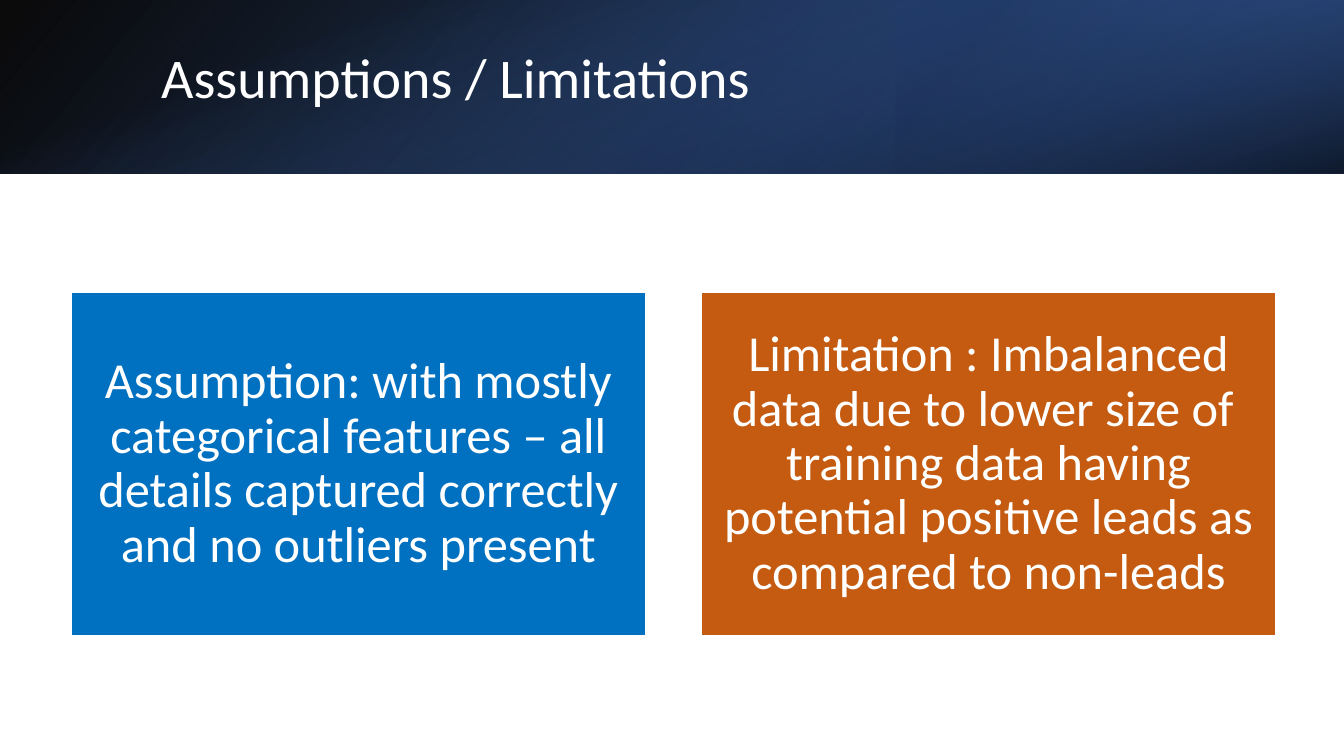
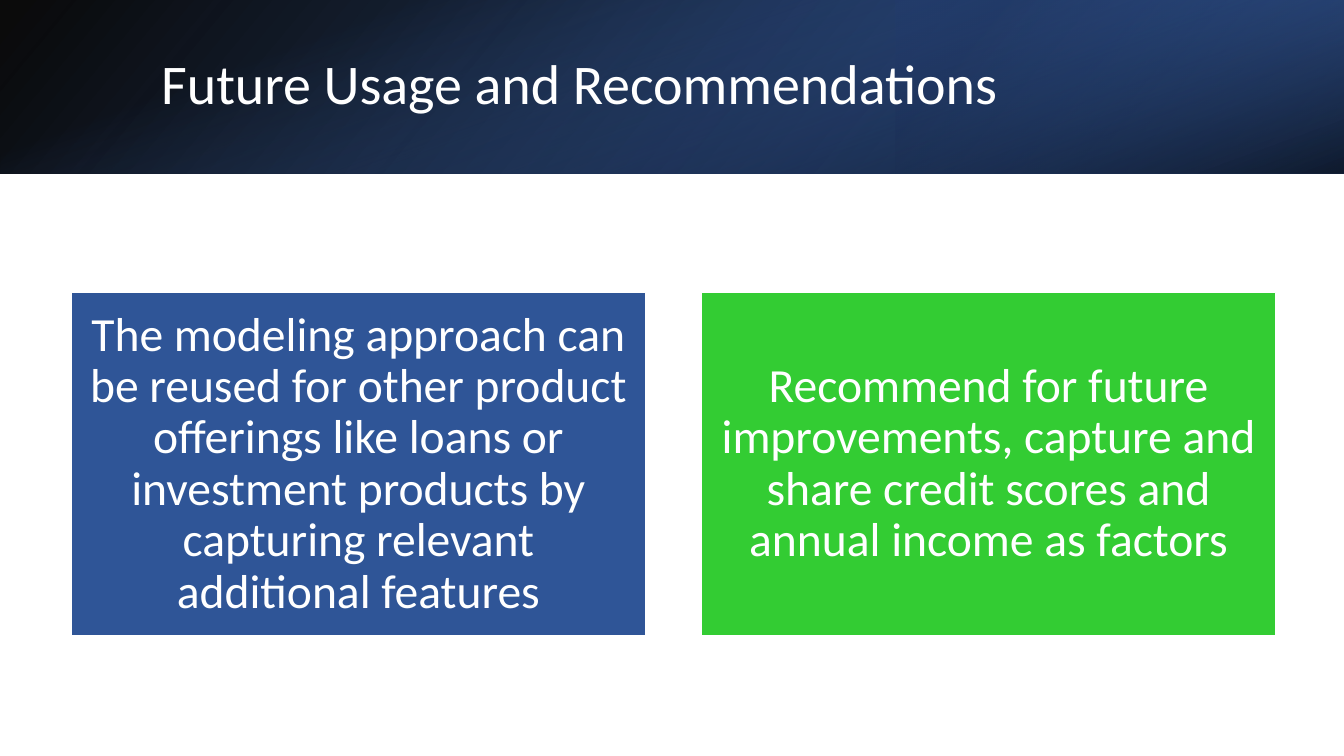
import pptx
import pptx.util
import pptx.dml.color
import pptx.enum.shapes
import pptx.enum.text
from lxml import etree

Inches, Pt = pptx.util.Inches, pptx.util.Pt
RGBColor = pptx.dml.color.RGBColor
RECT = pptx.enum.shapes.MSO_SHAPE.RECTANGLE
MIDDLE = pptx.enum.text.MSO_ANCHOR.MIDDLE
ALIGN = pptx.enum.text.PP_ALIGN

# Shared style
FONT = "Calibri"
WHITE = RGBColor(0xFF, 0xFF, 0xFF)
BLACK = RGBColor(0x00, 0x00, 0x00)
NAVY = RGBColor(0x20, 0x38, 0x64)
DARK_BLUE = RGBColor(0x2F, 0x55, 0x97)
MID_BLUE = RGBColor(0x44, 0x72, 0xC4)
BLUE = RGBColor(0x00, 0x70, 0xC0)
ORANGE = RGBColor(0xC5, 0x5A, 0x11)
GREEN = RGBColor(0x33, 0xCC, 0x33)

W, BAND_H = 13.33, 1.72
BOX_LEFT, BOX_TOP, BOX_W, BOX_H, BOX_STEP = 0.71, 2.9, 5.69, 3.41, 6.25

# Header band layers: left, top, width, height, rotation, flipped, angle,
# then stops of position, colour and opacity in percent
BAND = [
    (0, 0, W, BAND_H, 0, True, 140, [(0, BLACK, 96), (100, DARK_BLUE, 100)]),
    (W * 2 / 3, 0, W / 3, BAND_H, 180, True, 320, [(19, NAVY, 68), (100, MID_BLUE, 79)]),
    ((W - BAND_H) / 2, (BAND_H - W) / 2, BAND_H, W, 90, False, 340,
     [(23, MID_BLUE, 0), (99, BLACK, 74)]),
]

# Slides: title, title top, text size, box inset, boxes
SLIDES = [
    ("Assumptions / Limitations", 0.32, 36, 0.15, [
        ("Assumption: with mostly categorical features – all details captured "
         "correctly and no outliers present", BLUE),
        ("Limitation : Imbalanced data due to lower size of  training data having "
         "potential positive leads as compared to non-leads", ORANGE)]),
    ("Future Usage and Recommendations", 0.38, 34, 0.14, [
        ("The modeling approach can be reused for other product offerings like loans "
         "or investment products by capturing relevant additional features", DARK_BLUE),
        ("Recommend for future improvements, capture and share credit scores and "
         "annual income as factors", GREEN)]),
]


def put_text(sp, text, size, align=ALIGN.LEFT, inset=None):
    tf = sp.text_frame
    tf.word_wrap = True
    tf.vertical_anchor = MIDDLE
    if inset is not None:
        tf.margin_left = tf.margin_right = tf.margin_top = tf.margin_bottom = Inches(inset)
    p = tf.paragraphs[0]
    p.alignment, p.line_spacing = align, 0.9
    r = p.add_run()
    r.text = text
    r.font.name, r.font.size, r.font.color.rgb = FONT, Pt(size), WHITE


def add_rect(s, *place):
    sp = s.shapes.add_shape(RECT, *[Inches(v) for v in place])
    sp.shadow.inherit = False
    return sp


prs = pptx.Presentation()
prs.slide_width, prs.slide_height = Inches(W), Inches(7.5)

for title, title_top, size, inset, boxes in SLIDES:
    s = prs.slides.add_slide(prs.slide_layouts[6])

    # Header band
    for left, top, width, height, rotation, flipped, angle, stops in BAND:
        sp = add_rect(s, left, top, width, height)
        sp.rotation = rotation
        sp.line.fill.background()
        spPr = sp._element.spPr
        if flipped:
            spPr.xfrm.set("flipH", "1")
        sp.fill.gradient()
        sp.fill.gradient_angle = 360 - angle  # counter-clockwise
        for stop, (position, color, _) in zip(sp.fill.gradient_stops, stops):
            stop.position, stop.color.rgb = position / 100, color
        for clr, (_, _, opacity) in zip(spPr.xpath(".//a:gs/a:srgbClr"), stops):
            alpha = etree.SubElement(clr, pptx.oxml.ns.qn("a:alpha"))
            alpha.set("val", str(opacity * 1000))

    # Title
    tb = s.shapes.add_textbox(Inches(1.5), Inches(title_top), Inches(10.98), Inches(0.96))
    put_text(tb, title, 40)

    # Message boxes
    for i, (text, color) in enumerate(boxes):
        sp = add_rect(s, BOX_LEFT + i * BOX_STEP, BOX_TOP, BOX_W, BOX_H)
        sp.fill.solid()
        sp.fill.fore_color.rgb = color
        sp.line.color.rgb, sp.line.width = WHITE, Pt(1)
        put_text(sp, text, size, align=ALIGN.CENTER, inset=inset)

prs.save("out.pptx")
